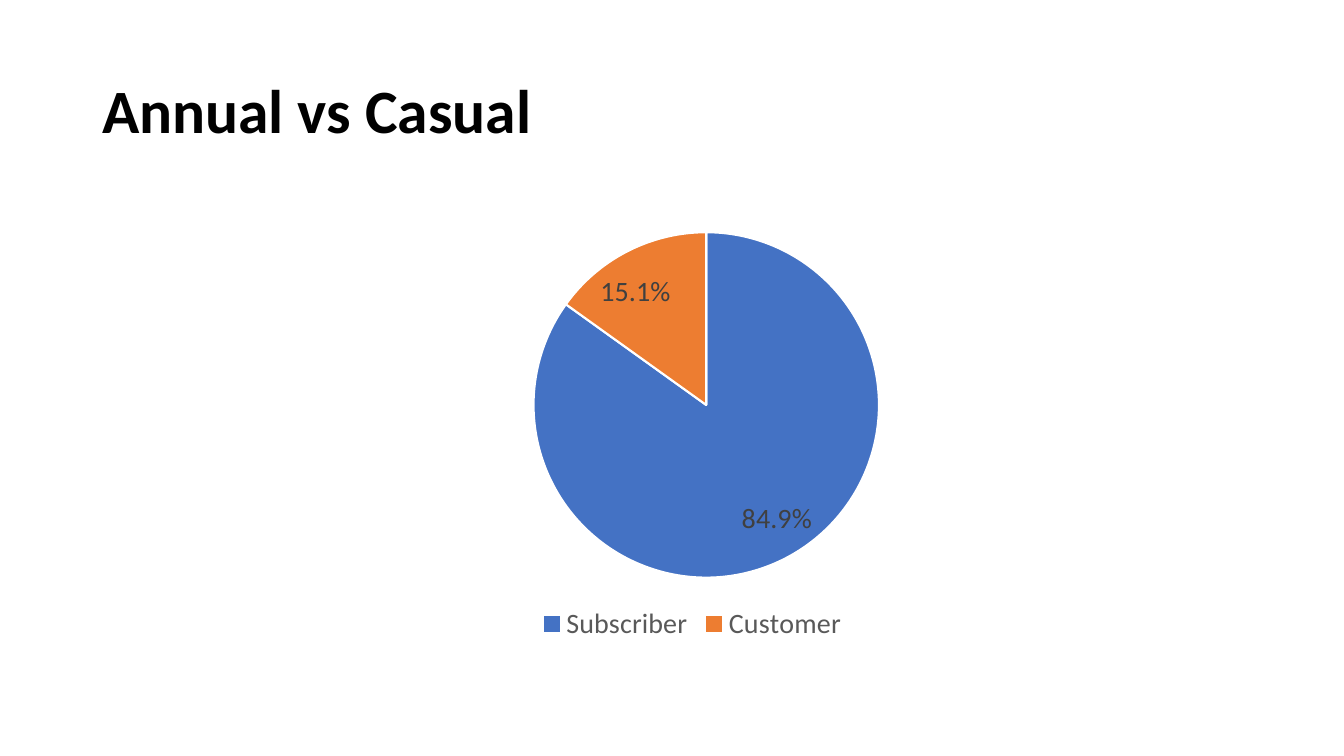
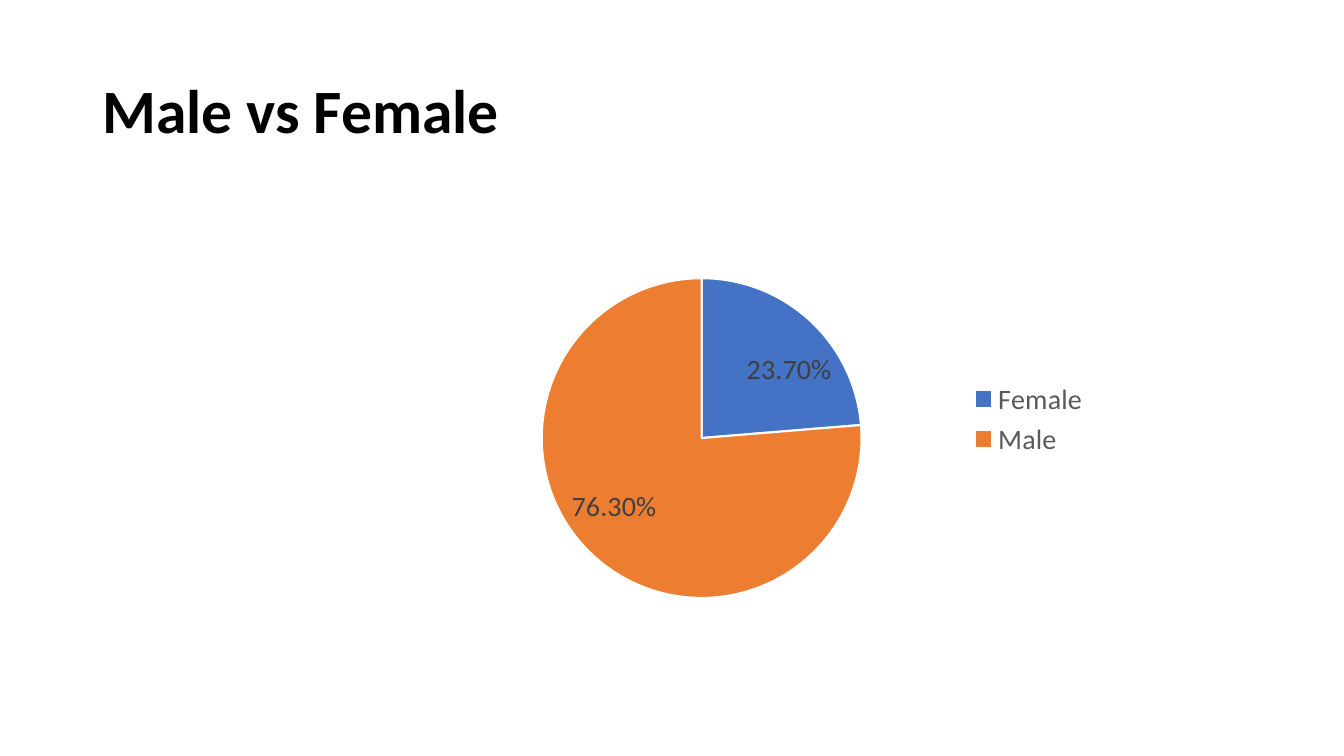
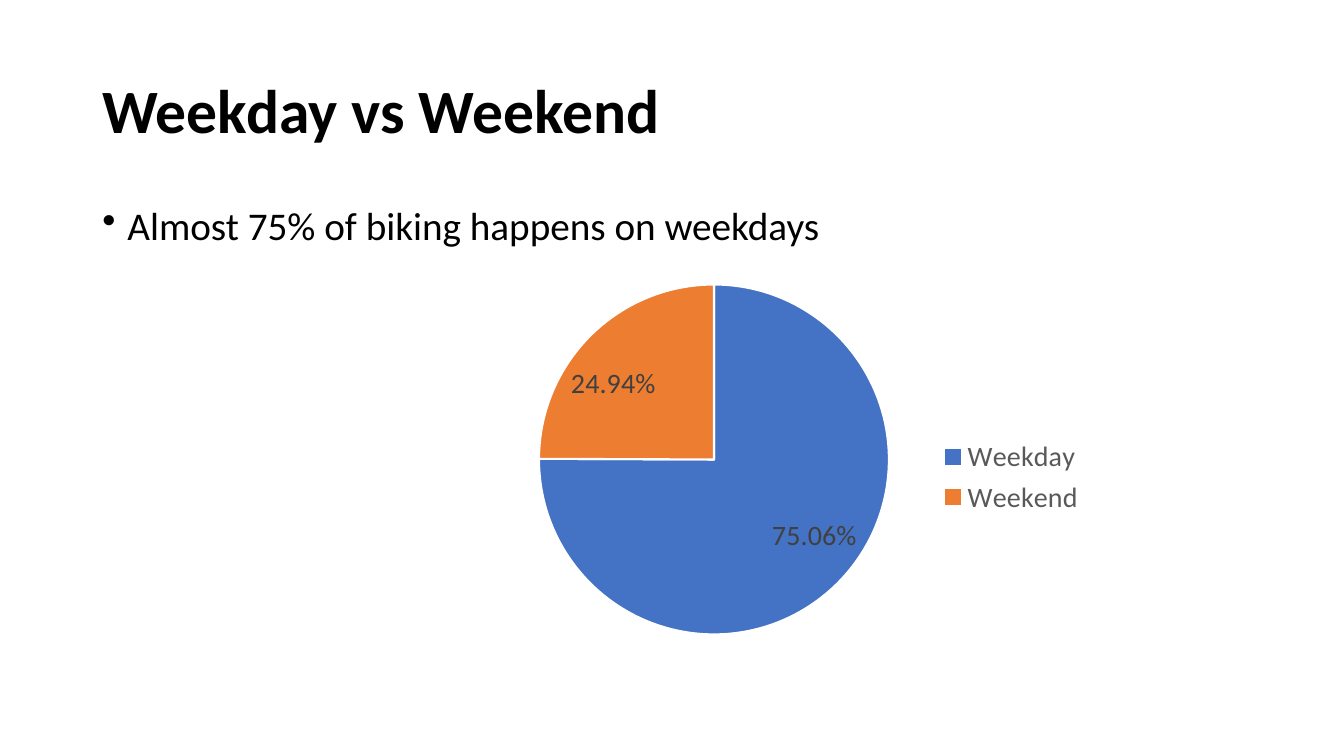
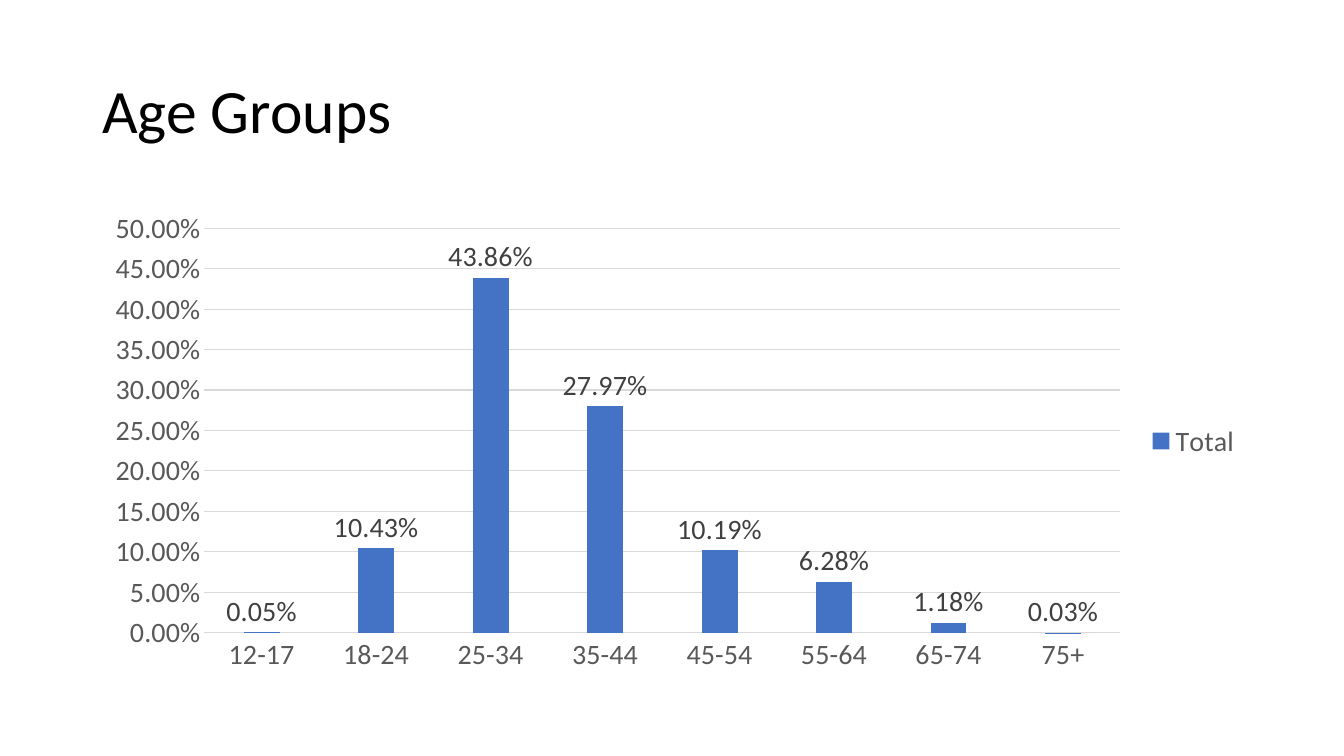
import pptx
import pptx.chart.data
import pptx.dml.color
import pptx.enum.chart
import pptx.enum.text
import pptx.oxml.ns
import pptx.oxml.xmlchemy
import pptx.util

Pt = pptx.util.Pt
RGB = pptx.dml.color.RGBColor
KIND = pptx.enum.chart.XL_CHART_TYPE
SPOT = pptx.enum.chart.XL_LABEL_POSITION
SIDE = pptx.enum.chart.XL_LEGEND_POSITION
TICK = pptx.enum.chart.XL_TICK_MARK
ANCHOR = pptx.enum.text.MSO_ANCHOR

FONT = "Calibri"
BLACK = RGB(0, 0, 0)
WHITE = RGB(255, 255, 255)
BLUE = RGB(0x44, 0x72, 0xC4)
ORANGE = RGB(0xED, 0x7D, 0x31)
DARK = RGB(0x40, 0x40, 0x40)
GREY = RGB(0x59, 0x59, 0x59)
PALE = RGB(0xD9, 0xD9, 0xD9)

HEAD = (66, 28.75, 828, 104.5)
BODY = (66, 143.75, 828, 342.75)


def node(tag, **attrs):
    """Make an XML element with the given attributes."""
    item = pptx.oxml.xmlchemy.OxmlElement(tag)
    for key, val in attrs.items():
        item.set(key, str(val))
    return item


def style(font, size, color, bold=False):
    """Set the face, size, colour and weight of a font."""
    font.name = FONT
    font.size = Pt(size)
    font.color.rgb = color
    font.bold = bold


def write(slide, box, text, size=28, color=BLACK, bold=False,
          anchor=ANCHOR.TOP, above=0, bullet=None):
    """Write one paragraph in a box, with a bullet if one is given."""
    frame = slide.shapes.add_textbox(*map(Pt, box)).text_frame
    frame.word_wrap = True
    frame.vertical_anchor = anchor
    para = frame.paragraphs[0]
    para.line_spacing = 0.9
    para.space_before = Pt(above)
    run = para.add_run()
    run.text = text
    style(run.font, size, color, bold)
    if bullet:
        props = para._p.get_or_add_pPr()
        props.set("marL", str(Pt(18)))
        props.set("indent", str(Pt(-18)))
        props.append(node("a:buChar", char=bullet))


def page(deck, title, bold=True):
    """Add a blank slide with its title."""
    slide = deck.slides.add_slide(deck.slide_layouts[6])
    write(slide, HEAD, title, size=44, bold=bold, anchor=ANCHOR.MIDDLE)
    return slide


def graph(slide, box, kind, name, data, side, form, spot):
    """Add a chart with one series, its legend and its value labels."""
    table = pptx.chart.data.CategoryChartData(number_format=form)
    table.categories = list(data)
    table.add_series(name, list(data.values()))
    chart = slide.shapes.add_chart(kind, *map(Pt, box), table).chart
    chart.has_title = False
    style(chart.font, 20, BLACK)
    chart.has_legend = True
    chart.legend.position = side
    chart.legend.include_in_layout = False
    style(chart.legend.font, 20, GREY)
    plot = chart.plots[0]
    plot.has_data_labels = True
    labels = plot.data_labels
    labels.show_value = True
    labels.show_percentage = False
    labels.number_format = form
    labels.number_format_is_linked = False
    labels.position = spot
    style(labels.font, 20, DARK)
    return chart


def place(chart, area):
    """Fix the inner plot area as shares of the chart's box."""
    zone = chart._chartSpace.chart.plotArea
    for old in zone.findall(pptx.oxml.ns.qn("c:layout")):
        zone.remove(old)
    layout = node("c:layout")
    manual = node("c:manualLayout")
    pairs = [("layoutTarget", "inner"), ("xMode", "edge"), ("yMode", "edge")]
    for tag, val in pairs + list(zip("xywh", area)):
        manual.append(node("c:" + tag, val=val))
    layout.append(manual)
    zone.insert(0, layout)


def pie(slide, box, data, area, side=SIDE.RIGHT, form="0.00%"):
    """Draw a pie of two slices with white edges."""
    chart = graph(slide, box, KIND.PIE, "Series 1", data, side, form,
                  SPOT.BEST_FIT)
    place(chart, area)
    points = chart.plots[0].series[0].points
    for i, color in enumerate((BLUE, ORANGE)):
        look = points[i].format
        look.fill.solid()
        look.fill.fore_color.rgb = color
        look.line.color.rgb = WHITE
        look.line.width = Pt(1.5)


def bars(slide, box, name, data, top, step):
    """Draw blue columns over a pale grid."""
    form = "0.00%"
    chart = graph(slide, box, KIND.COLUMN_CLUSTERED, name, data, SIDE.RIGHT,
                  form, SPOT.OUTSIDE_END)
    plot = chart.plots[0]
    plot.vary_by_categories = False
    plot.gap_width = 219
    plot.overlap = -27
    fill = plot.series[0].format.fill
    fill.solid()
    fill.fore_color.rgb = BLUE
    base, scale = chart.category_axis, chart.value_axis
    for axis in (base, scale):
        axis.major_tick_mark = axis.minor_tick_mark = TICK.NONE
        style(axis.tick_labels.font, 20, GREY)
    scale.minimum_scale = 0
    scale.maximum_scale = top
    scale.major_unit = step
    scale.tick_labels.number_format = form
    scale.tick_labels.number_format_is_linked = False
    scale.format.line.fill.background()
    for line in (base.format.line, scale.major_gridlines.format.line):
        line.color.rgb = PALE
        line.width = Pt(0.75)


def main():
    """Build and save the four slides."""
    deck = pptx.Presentation()
    deck.slide_width, deck.slide_height = Pt(960), Pt(540)

    slide = page(deck, "Annual vs Casual")
    pie(slide, (245, 133, 499, 329), {"Subscriber": 0.849, "Customer": 0.151},
        (0.27, 0.1, 0.5, 0.75), side=SIDE.BOTTOM, form="0.0%")

    slide = page(deck, "Male vs Female")
    pie(slide, (299.5, 150, 486, 299), {"Female": 0.237, "Male": 0.763},
        (0.18, 0.16, 0.47, 0.77))

    slide = page(deck, "Weekday vs Weekend")
    write(slide, BODY, "Almost 75% of biking happens on weekdays",
          above=10, bullet="•")
    pie(slide, (324.5, 184.5, 458, 312.5),
        {"Weekday": 0.7506, "Weekend": 0.2494}, (0.13, 0.06, 0.55, 0.8))

    slide = page(deck, "Age Groups", bold=False)
    ages = {"12-17": 0.0005, "18-24": 0.1043, "25-34": 0.4386,
            "35-44": 0.2797, "45-54": 0.1019, "55-64": 0.0628,
            "65-74": 0.0118, "75+": 0.0003}
    bars(slide, BODY, "Total", ages, top=0.5, step=0.05)

    deck.save("out.pptx")


main()
